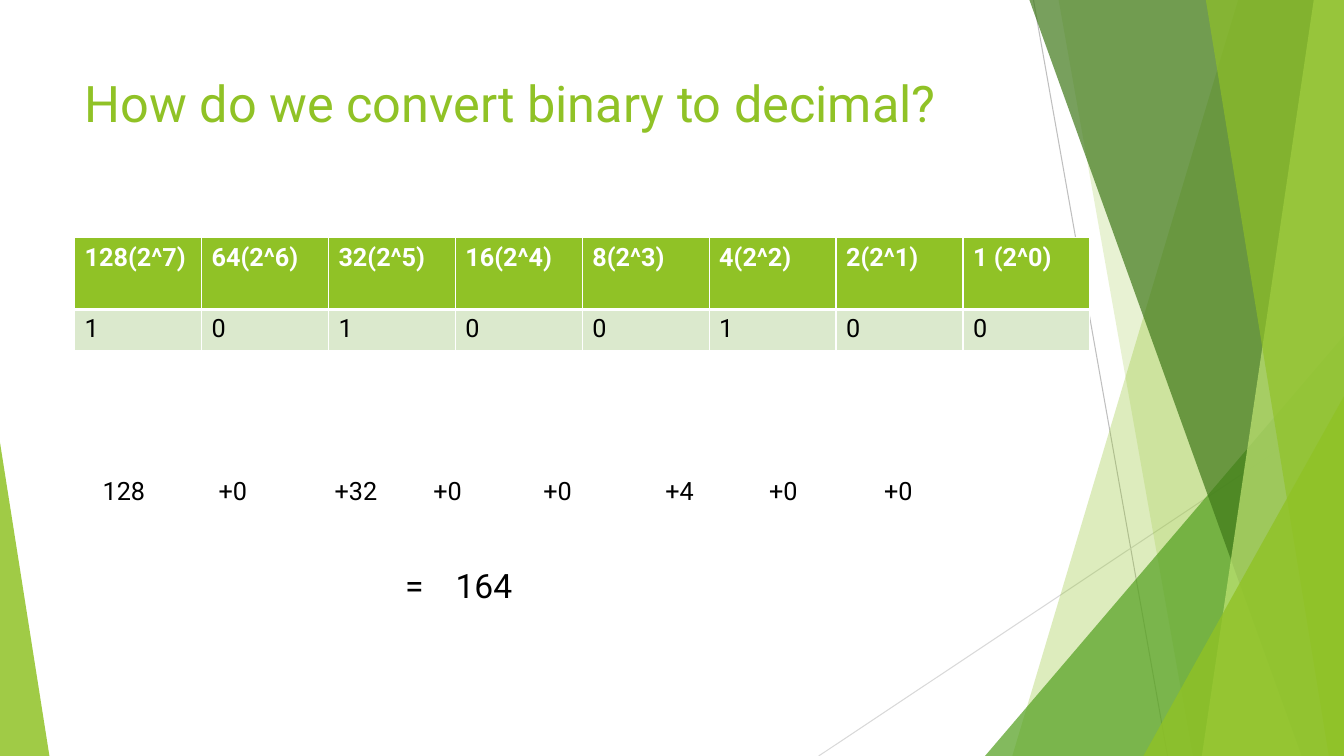
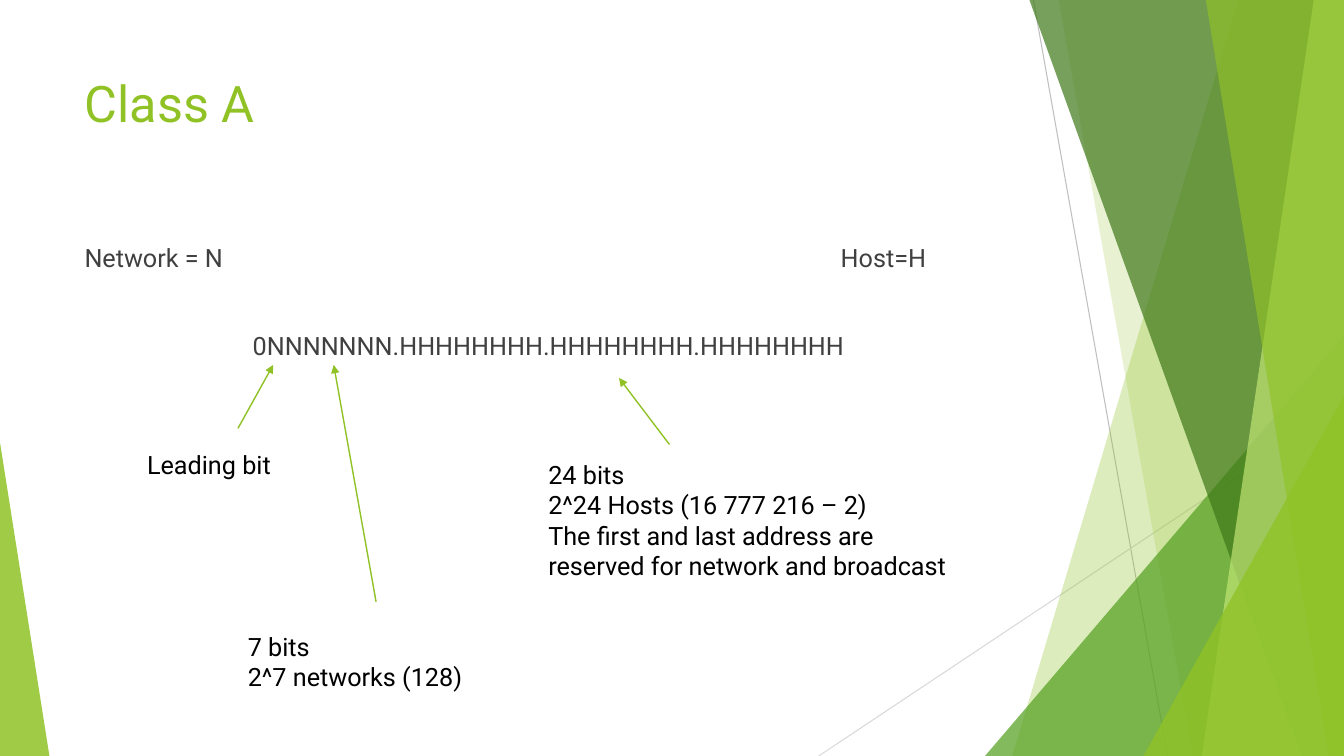
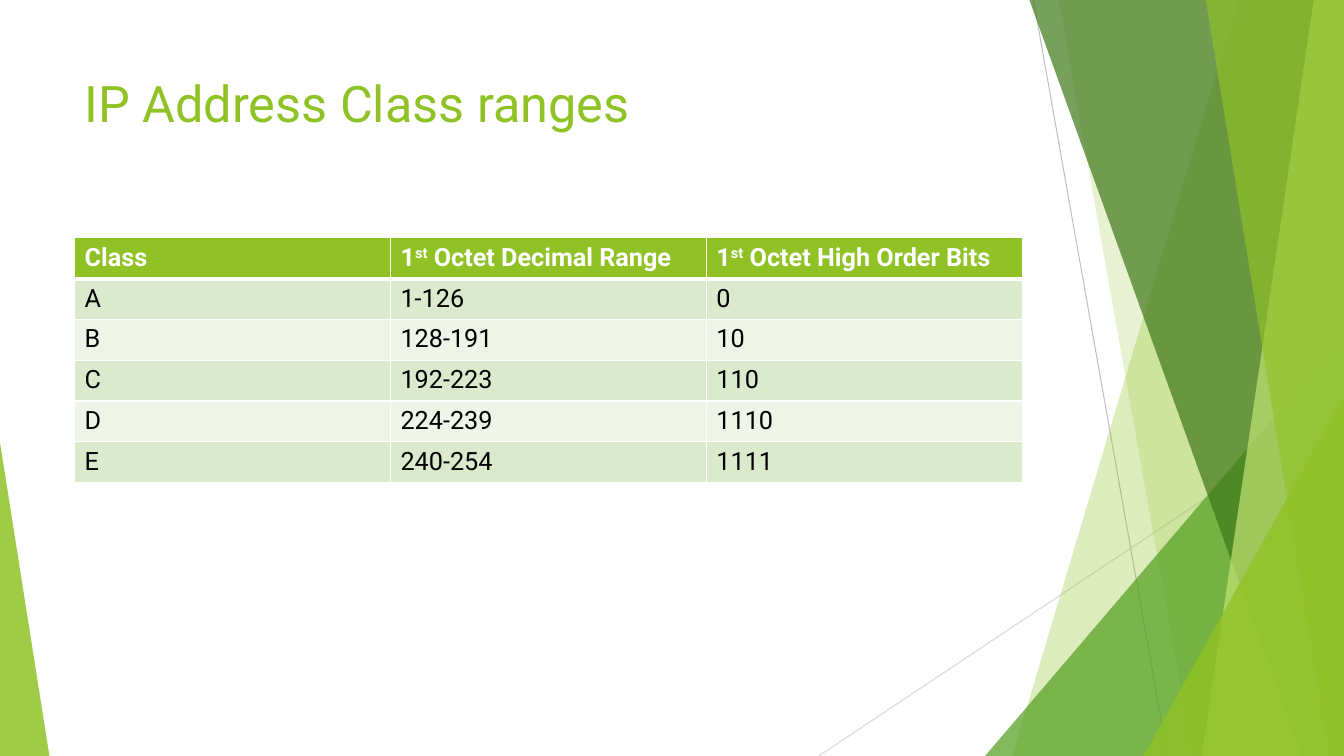
from dataclasses import dataclass

from lxml.etree import SubElement
from pptx import Presentation
from pptx.dml.color import RGBColor
from pptx.enum.shapes import MSO_CONNECTOR as Connector, MSO_SHAPE as Preset
from pptx.enum.text import MSO_ANCHOR as Anchor, MSO_AUTO_SIZE as AutoSize, PP_ALIGN as Align
from pptx.oxml.ns import qn
from pptx.util import Inches, Pt


@dataclass(frozen=True)
class Theme:
    font: str = "Roboto"
    green: str = "90C226"
    leaf: str = "54A021"
    forest: str = "3F7819"
    lime: str = "C0E474"
    band_dark: str = "DBE9CD"
    band_light: str = "EEF4E8"
    white: str = "FFFFFF"
    black: str = "000000"
    gray: str = "404040"
    rule_dark: str = "BFBFBF"
    rule_light: str = "D9D9D9"
    title_size: int = 36
    result_size: int = 24
    text_size: int = 18


THEME = Theme()
WIDTH, HEIGHT = 13.33, 7.5
LEFT, TITLE_TOP, CONTENT_TOP = 0.74, 0.67, 2.36
CONTENT_WIDTH, TITLE_HEIGHT = 9.4, 1.44
ROW_HEIGHT = 0.405

RULES = [
    ((10.25, 0), (11.58, HEIGHT), THEME.rule_dark),
    ((WIDTH, 4.03), (8.12, HEIGHT), THEME.rule_light),
]
FACETS = [
    ("band", 12.28, 10.04, THEME.green, 30),
    ("band", 10.5, 11.83, THEME.green, 20),
    ("right corner", 9.77, 3.33, THEME.leaf, 72),
    ("band", 10.21, 12.91, THEME.forest, 70),
    ("band", 13.03, 11.92, THEME.lime, 70),
    ("band", 11.96, 13.18, THEME.green, 65),
    ("right corner", 11.34, 3.93, THEME.green, 80),
    ("left corner", 0.49, 4.39, THEME.green, 85),
]

BINARY_TITLE = "How do we convert binary to decimal?"
BINARY_ROWS = [
    ["128(2^7)", "64(2^6)", "32(2^5)", "16(2^4)", "8(2^3)", "4(2^2)", "2(2^1)", "1 (2^0)"],
    ["1", "0", "1", "0", "0", "1", "0", "0"],
]
SUM_TERMS = ["128", "+0", "+32", "+0", "+0", "+4", "+0", "+0"]
SUM_STOPS = [1.15, 2.3, 3.28, 4.37, 5.58, 6.61, 7.75]
RESULT_TERMS = ["", "=", "164"]
RESULT_STOPS = [3.0, 3.5]

CLASS_TITLE = "Class A"
ADDRESS_KEY = "Network = N\tHost=H"
ADDRESS_PATTERN = "0NNNNNNN.HHHHHHHH.HHHHHHHH.HHHHHHHH"
CALLOUTS = [
    ((2.36, 4.25), (2.71, 3.62), (1.36, 4.41, 1.95, 0.4), ["Leading bit"]),
    ((3.73, 5.97), (3.31, 3.62), (2.36, 6.21, 3.94, 0.71), ["7 bits", "2^7 networks (128)"]),
    ((6.64, 4.41), (6.14, 3.75), (5.34, 4.51, 4.43, 1.31), [
        "24 bits",
        "2^24 Hosts (16 777 216 – 2)",
        "The first and last address are reserved for network and broadcast",
    ]),
]

RANGES_TITLE = "IP Address Class ranges"
RANGES_ROWS = [
    ["Class", ("1", "st", " Octet Decimal Range"), ("1", "st", " Octet High Order Bits")],
    ["A", "1-126", "0"],
    ["B", "128-191", "10"],
    ["C", "192-223", "110"],
    ["D", "224-239", "1110"],
    ["E", "240-254", "1111"],
]


def color(value):
    return RGBColor.from_string(value)


def add_run(paragraph, text, size=THEME.text_size, ink=THEME.black, bold=False):
    run = paragraph.add_run()
    run.text = text
    run.font.name = THEME.font
    run.font.size = Pt(size)
    run.font.bold = bold
    run.font.color.rgb = color(ink)
    return run


def set_tabs(paragraph, stops):
    tab_list = SubElement(paragraph._p.get_or_add_pPr(), qn("a:tabLst"))
    for stop in stops:
        SubElement(tab_list, qn("a:tab"), pos=str(Inches(stop)), algn="l")


def add_text(slide, box, lines):
    shape = slide.shapes.add_textbox(*map(Inches, box))
    frame = shape.text_frame
    frame.word_wrap = True
    for index, line in enumerate(lines):
        paragraph = frame.paragraphs[0] if index == 0 else frame.add_paragraph()
        paragraph.alignment = line.get("align", Align.LEFT)
        paragraph.space_before = Pt(line.get("before", 0))
        if "stops" in line:
            set_tabs(paragraph, line["stops"])
        add_run(paragraph, line["text"], line.get("size", THEME.text_size), line.get("ink", THEME.black))


def add_line(slide, start, end, ink, weight, arrow=False):
    points = [Inches(value) for value in (*start, *end)]
    connector = slide.shapes.add_connector(Connector.STRAIGHT, *points)
    connector.line.color.rgb = color(ink)
    connector.line.width = Pt(weight)
    properties = connector.element.spPr
    if arrow:
        SubElement(properties.find(qn("a:ln")), qn("a:tailEnd"), type="triangle")
    SubElement(properties, qn("a:effectLst"))
    return connector


def add_facet(slide, kind, first, second, ink, opacity):
    if kind == "band":
        corners = [(first, 0), (WIDTH, 0), (WIDTH, HEIGHT), (second, HEIGHT)]
        points = [(Inches(x), Inches(y)) for x, y in corners]
        builder = slide.shapes.build_freeform(*points[0])
        builder.add_line_segments(points[1:], close=True)
        shape = builder.convert_to_shape()
    else:
        on_left = kind == "left corner"
        left, width = (0, first) if on_left else (first, WIDTH - first)
        box = map(Inches, (left, second, width, HEIGHT - second))
        shape = slide.shapes.add_shape(Preset.ISOSCELES_TRIANGLE, *box)
        shape.adjustments[0] = 0 if on_left else 1
    shape.shadow.inherit = False
    shape.fill.solid()
    shape.fill.fore_color.rgb = color(ink)
    fill_color = shape.element.spPr.find(qn("a:solidFill")).find(qn("a:srgbClr"))
    SubElement(fill_color, qn("a:alpha"), val=str(opacity * 1000))
    shape.line.fill.background()
    return shape


def decorate_layout(layout, slide):
    title = layout.placeholders[0]
    title.left, title.top = Inches(LEFT), Inches(TITLE_TOP)
    title.width, title.height = Inches(CONTENT_WIDTH), Inches(TITLE_HEIGHT)
    title.text_frame.vertical_anchor = Anchor.TOP
    title.text_frame.auto_size = AutoSize.NONE
    scenery = [add_line(slide, *rule, 0.75) for rule in RULES]
    scenery += [add_facet(slide, *facet) for facet in FACETS]
    tree = layout.shapes.element
    for index, shape in enumerate(scenery):
        shape.element.find(".//" + qn("p:cNvPr")).set("id", str(100 + index))
        tree.insert(2 + index, shape.element)


def add_slide(presentation, layout, title):
    slide = presentation.slides.add_slide(layout)
    paragraph = slide.shapes.title.text_frame.paragraphs[0]
    paragraph.alignment = Align.LEFT
    add_run(paragraph, title, THEME.title_size, THEME.green)
    return slide


def style_cell(cell, fill, top, bottom):
    properties = cell._tc.get_or_add_tcPr()
    for side, weight in (("L", 1), ("R", 1), ("T", top), ("B", bottom)):
        border = SubElement(properties, qn(f"a:ln{side}"), w=str(Pt(weight)))
        SubElement(SubElement(border, qn("a:solidFill")), qn("a:srgbClr"), val=THEME.white)
    cell.fill.solid()
    cell.fill.fore_color.rgb = color(fill)


def add_data_table(slide, rows, width, header_height=ROW_HEIGHT):
    count = len(rows[0])
    heights = [header_height] + [ROW_HEIGHT] * (len(rows) - 1)
    box = map(Inches, (LEFT, CONTENT_TOP, width, sum(heights)))
    table = slide.shapes.add_table(len(rows), count, *box).table
    table.first_row = table.horz_banding = False
    for column in table.columns:
        column.width = Inches(width / count)
    for index, (values, height) in enumerate(zip(rows, heights)):
        header = index == 0
        table.rows[index].height = Inches(height)
        fill = THEME.green if header else (THEME.band_light, THEME.band_dark)[index % 2]
        for cell, value in zip(table.rows[index].cells, values):
            style_cell(cell, fill, 3 if index == 1 else 1, 3 if header else 1)
            parts = (value,) if isinstance(value, str) else value
            for position, part in enumerate(parts):
                ink = THEME.white if header else THEME.black
                run = add_run(cell.text_frame.paragraphs[0], part, ink=ink, bold=header)
                if position % 2:
                    run._r.get_or_add_rPr().set("baseline", "30000")


def main():
    presentation = Presentation()
    presentation.slide_width, presentation.slide_height = Inches(WIDTH), Inches(HEIGHT)
    layout = presentation.slide_layouts[5]

    binary = add_slide(presentation, layout, BINARY_TITLE)
    decorate_layout(layout, binary)
    add_data_table(binary, BINARY_ROWS, 10.07, 0.71)
    add_text(binary, (0.92, 4.67, 10.45, 1.41), [
        {"text": "\t".join(SUM_TERMS), "stops": SUM_STOPS},
        {"text": "\t".join(RESULT_TERMS), "stops": RESULT_STOPS, "size": THEME.result_size, "before": 42},
    ])

    address = add_slide(presentation, layout, CLASS_TITLE)
    add_text(address, (LEFT, CONTENT_TOP, CONTENT_WIDTH, 1.47), [
        {"text": ADDRESS_KEY, "stops": [7.5], "ink": THEME.gray, "before": 10},
        {"text": ADDRESS_PATTERN, "align": Align.CENTER, "ink": THEME.gray, "before": 41},
    ])
    for start, end, box, lines in CALLOUTS:
        add_line(address, start, end, THEME.green, 1, arrow=True)
        add_text(address, box, [{"text": line} for line in lines])

    ranges = add_slide(presentation, layout, RANGES_TITLE)
    add_data_table(ranges, RANGES_ROWS, CONTENT_WIDTH)

    presentation.save("out.pptx")


if __name__ == "__main__":
    main()
